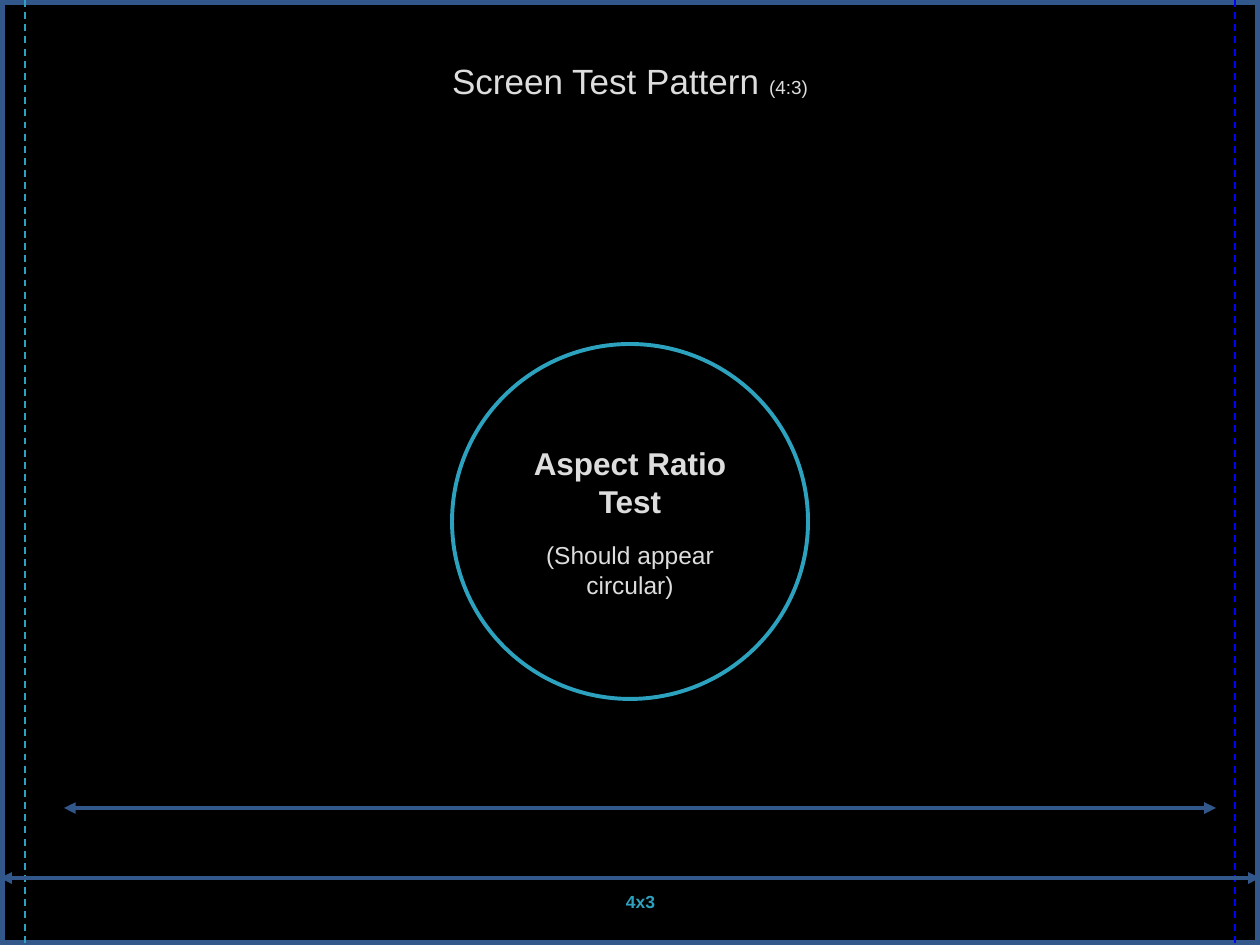
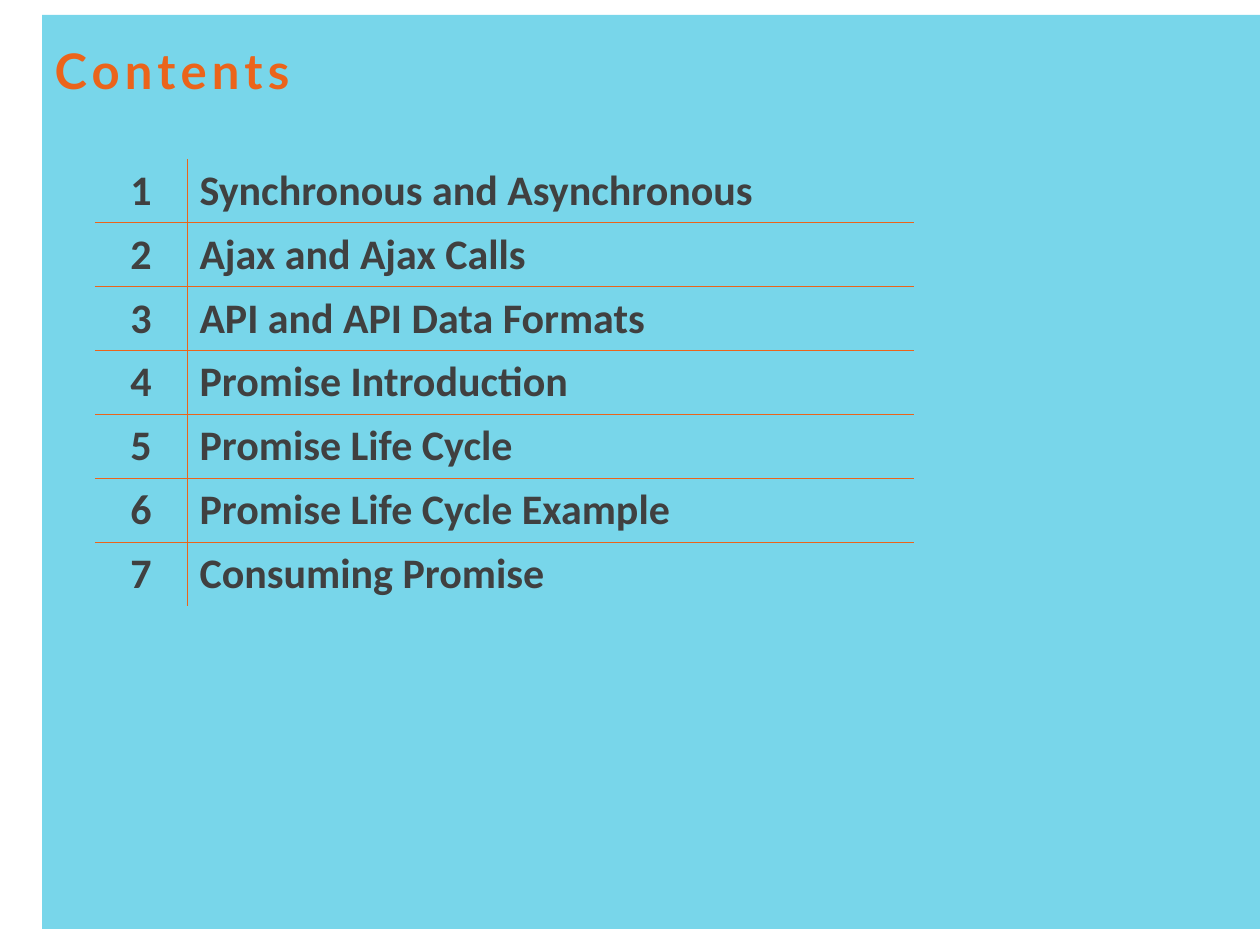
from typing import NamedTuple

from lxml import etree
from pptx import Presentation
from pptx.dml.color import RGBColor
from pptx.enum.dml import MSO_LINE
from pptx.enum.shapes import MSO_CONNECTOR, MSO_SHAPE
from pptx.enum.text import MSO_ANCHOR as ANCHOR, PP_ALIGN as ALIGN
from pptx.oxml.ns import qn
from pptx.util import Emu, Pt

# Shared sizes and colours
PX = 914400 / 126
WIDTH, HEIGHT = 1260, 945
TITLE_ONLY = 5
BLACK, WHITE = "000000", "FFFFFF"
NAVY, TEAL, BLUE, PALE = "32578B", "2DA2BF", "0000FF", "DDDDDD"
SKY, ORANGE, DARK = "78D6EA", "EB641B", "404040"
NO_TABLE_STYLE = "{2D5ABB26-0587-4C30-8999-92F81FD0307C}"


class Box(NamedTuple):
    x: int
    y: int
    w: int
    h: int


class Style(NamedTuple):
    font: str
    size: float
    color: str
    bold: bool = False


class Guide(NamedTuple):
    x1: int
    y1: int
    x2: int
    y2: int
    color: str
    weight: float
    dashed: bool = False
    arrows: bool = False


TEST_TITLE = Style("Arial", 20, PALE)
CONTENTS_TITLE = Style("Lato", 28, ORANGE, True)
CONTENTS_CELL = Style("Calibri", 24, DARK, True)

GUIDES = [
    Guide(25, 0, 25, HEIGHT, TEAL, 1, dashed=True),
    Guide(1235, 0, 1235, HEIGHT, BLUE, 1, dashed=True),
    Guide(0, 878, WIDTH, 878, NAVY, 2.25, arrows=True),
    Guide(64, 808, 1216, 808, NAVY, 2.25, arrows=True),
]

TOPICS = [
    "Synchronous and Asynchronous",
    "Ajax and Ajax Calls",
    "API and API Data Formats",
    "Promise Introduction",
    "Promise Life Cycle",
    "Promise Life Cycle Example",
    "Consuming Promise",
]


def px(n: int) -> Emu:
    return Emu(round(n * PX))


def rgb(color: str) -> RGBColor:
    return RGBColor.from_string(color)


def style_run(r, style: Style) -> None:
    r.font.name = style.font
    r.font.size = Pt(style.size)
    r.font.bold = style.bold
    r.font.color.rgb = rgb(style.color)


def write(p, text: str, style: Style, align=ALIGN.LEFT) -> None:
    p.text = text
    p.alignment = align
    style_run(p.runs[0], style)


def new_slide(prs, background: str):
    slide = prs.slides.add_slide(prs.slide_layouts[TITLE_ONLY])
    slide.background.fill.solid()
    slide.background.fill.fore_color.rgb = rgb(background)
    return slide


def set_title(slide, text: str, box: Box, style: Style, align=ALIGN.LEFT):
    title = slide.shapes.title
    title.left, title.top, title.width, title.height = map(px, box)
    tf = title.text_frame
    tf.vertical_anchor = ANCHOR.TOP
    write(tf.paragraphs[0], text, style, align)
    return tf.paragraphs[0]


def add_panel(slide, kind, box: Box, fill: str = "", line: str = "", weight: float = 0):
    sp = slide.shapes.add_shape(kind, *map(px, box))
    sp.shadow.inherit = False
    if fill:
        sp.fill.solid()
        sp.fill.fore_color.rgb = rgb(fill)
    else:
        sp.fill.background()
    if line:
        sp.line.color.rgb = rgb(line)
        sp.line.width = Pt(weight)
    else:
        sp.line.fill.background()
    return sp


def send_to_back(slide, sp) -> None:
    slide.shapes.title.element.addprevious(sp.element)


def add_guide(slide, g: Guide) -> None:
    cxn = slide.shapes.add_connector(
        MSO_CONNECTOR.STRAIGHT, px(g.x1), px(g.y1), px(g.x2), px(g.y2))
    cxn.line.color.rgb = rgb(g.color)
    cxn.line.width = Pt(g.weight)
    if g.dashed:
        cxn.line.dash_style = MSO_LINE.DASH
    sp_pr = cxn.element.spPr
    if g.arrows:
        for end in ("a:headEnd", "a:tailEnd"):
            etree.SubElement(sp_pr.find(qn("a:ln")), qn(end), type="triangle")
    etree.SubElement(sp_pr, qn("a:effectLst"))


def set_borders(cell, sides: dict[str, bool]) -> None:
    """Draw a thin orange line on the chosen sides and none on the others."""
    tc_pr = cell._tc.get_or_add_tcPr()
    for side, drawn in sides.items():
        ln = etree.SubElement(tc_pr, qn(f"a:ln{side}"), w=str(Pt(0.5)))
        if drawn:
            fill = etree.SubElement(ln, qn("a:solidFill"))
            etree.SubElement(fill, qn("a:srgbClr"), val=ORANGE)
        else:
            etree.SubElement(ln, qn("a:noFill"))


def add_topics(slide, topics: list[str], x: int, y: int, widths: list[int], row_h: int) -> None:
    last = len(topics) - 1
    frame = slide.shapes.add_table(
        len(topics), len(widths), px(x), px(y), px(sum(widths)), px(row_h * len(topics)))
    table = frame.table
    table.first_row = table.horz_banding = False
    table._tbl.tblPr.find(qn("a:tableStyleId")).text = NO_TABLE_STYLE
    for column, width in zip(table.columns, widths):
        column.width = px(width)
    for i, topic in enumerate(topics):
        table.rows[i].height = px(row_h)
        for j, (text, align) in enumerate([(str(i + 1), ALIGN.CENTER), (topic, ALIGN.LEFT)]):
            cell = table.cell(i, j)
            set_borders(cell, {"L": j == 1, "R": j == 0, "T": i > 0, "B": i < last})
            cell.fill.background()
            cell.vertical_anchor = ANCHOR.MIDDLE
            write(cell.text_frame.paragraphs[0], text, CONTENTS_CELL, align)


def build_test_pattern(prs) -> None:
    slide = new_slide(prs, BLACK)
    # Screen frame and title
    frame = add_panel(slide, MSO_SHAPE.RECTANGLE, Box(0, 0, WIDTH, HEIGHT), line=NAVY, weight=6)
    send_to_back(slide, frame)
    p = set_title(slide, "Screen Test Pattern ", Box(95, 53, 1070, 154), TEST_TITLE, ALIGN.CENTER)
    r = p.add_run()
    r.text = "(4:3)"
    style_run(r, TEST_TITLE._replace(size=10.8))

    # Edge guides and width arrows
    for guide in GUIDES:
        add_guide(slide, guide)

    # Aspect ratio circle
    circle = add_panel(slide, MSO_SHAPE.OVAL, Box(452, 344, 356, 355), line=TEAL, weight=2.25)
    tf = circle.text_frame
    tf.word_wrap = True
    tf.vertical_anchor = ANCHOR.MIDDLE
    write(tf.paragraphs[0], "Aspect Ratio Test", Style("Arial", 18, PALE, True), ALIGN.CENTER)
    p = tf.add_paragraph()
    write(p, "(Should appear circular)", Style("Arial", 14, PALE), ALIGN.CENTER)
    p.space_before = Pt(12)

    # Ratio label
    tf = slide.shapes.add_textbox(*map(px, Box(620, 885, 73, 34))).text_frame
    tf.word_wrap = True
    tf.margin_left = tf.margin_right = tf.margin_top = tf.margin_bottom = px(6)
    write(tf.paragraphs[0], "4x3", Style("Arial", 10, TEAL, True))


def build_contents(prs) -> None:
    slide = new_slide(prs, WHITE)
    # Coloured panel and title
    panel = add_panel(slide, MSO_SHAPE.RECTANGLE, Box(42, 15, 1218, 914), fill=SKY)
    send_to_back(slide, panel)
    p = set_title(slide, "Contents", Box(42, 34, 1218, 76), CONTENTS_TITLE)
    p.runs[0].font._element.set("spc", "300")

    # Numbered topics
    add_topics(slide, TOPICS, 95, 159, [92, 727], 63)


def main() -> None:
    prs = Presentation()
    prs.slide_width, prs.slide_height = px(WIDTH), px(HEIGHT)
    build_test_pattern(prs)
    build_contents(prs)
    prs.save("out.pptx")


if __name__ == "__main__":
    main()
